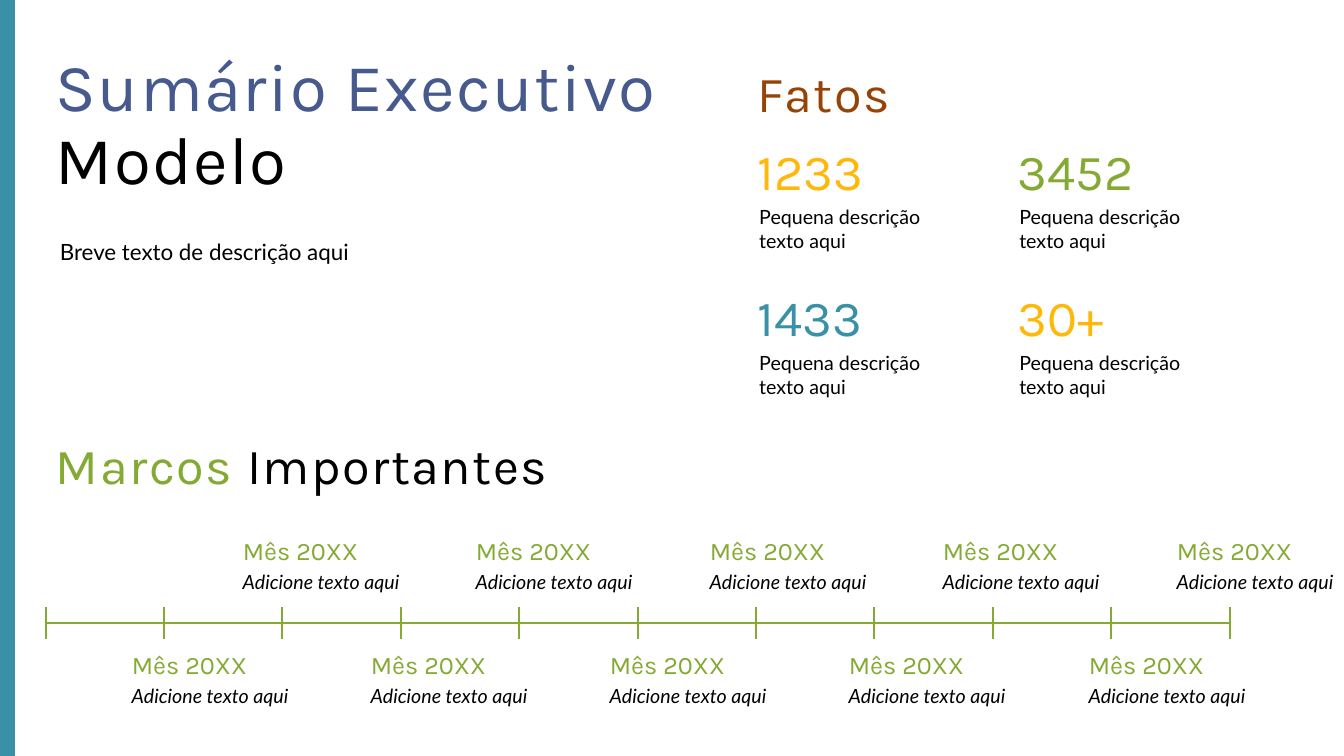
"""Build the executive summary slide with facts and a milestone timeline."""
import pptx
import pptx.dml.color
import pptx.enum.shapes
import pptx.enum.text
import pptx.oxml.ns
import pptx.util
from lxml import etree

BLUE, TEAL, BROWN = "475A8D", "3891A7", "964305"
YELLOW, GREEN, BLACK = "FEB80A", "84AA33", "000000"
PX = 914400 / 100.8


def rgb(value):
    return pptx.dml.color.RGBColor.from_string(value)


def add_text(text, left, top, width, height, size, color=BLACK, font="Lato",
             tail="", italic=False, spacing=None, line_spacing=None, rounded=False):
    box = [round(value * PX) for value in (left, top, width, height)]
    if rounded:
        shape = slide.shapes.add_shape(
            pptx.enum.shapes.MSO_SHAPE.ROUNDED_RECTANGLE, *box)
        shape.adjustments[0] = 0.08
        shape.shadow.inherit = False
        shape.fill.background()
        shape.line.fill.background()
    else:
        shape = slide.shapes.add_textbox(*box)
    frame = shape.text_frame
    frame.word_wrap = True
    frame.vertical_anchor = pptx.enum.text.MSO_ANCHOR.TOP
    for index, line in enumerate(text.split("\n")):
        paragraph = frame.add_paragraph() if index else frame.paragraphs[0]
        paragraph.alignment = pptx.enum.text.PP_ALIGN.LEFT
        paragraph.line_spacing = line_spacing
        for content, run_color in ((line, color), (tail, BLACK)):
            if not content:
                continue
            run = paragraph.add_run()
            run.text = content
            run.font.name = font
            run.font.size = pptx.util.Pt(size)
            run.font.italic = italic
            run.font.color.rgb = rgb(run_color)
            if spacing:
                run.font._element.set("spc", str(spacing))


presentation = pptx.Presentation()
presentation.slide_width = round(1344 * PX)
presentation.slide_height = round(756 * PX)
slide = presentation.slides.add_slide(presentation.slide_layouts[6])

side_bar = slide.shapes.add_shape(
    pptx.enum.shapes.MSO_SHAPE.RECTANGLE, 0, 0, round(15 * PX), round(756 * PX))
side_bar.shadow.inherit = False
side_bar.fill.solid()
side_bar.fill.fore_color.rgb = rgb(TEAL)
side_bar.line.fill.background()

heading = {"font": "Karla", "spacing": 110, "line_spacing": 0.9}
add_text("Sumário Executivo", 46, 49, 706, 155, 48, color=BLUE, tail=" Modelo", **heading)
add_text("Breve texto de descrição aqui", 46, 229, 584, 172, 16, rounded=True)
add_text("Fatos", 748, 64, 538, 65, 36, color=BROWN, **heading)
add_text("Marcos ", 46, 436, 540, 65, 36, color=GREEN, tail="Importantes", **heading)

facts = [("1233", YELLOW), ("3452", GREEN), ("1433", TEAL), ("30+", YELLOW)]
for index, (number, color) in enumerate(facts):
    row, column = divmod(index, 2)
    left, top = 748 + 260 * column, 142 + 146 * row
    add_text(number, left, top, 145, 65, 36, color=color, font="Karla", line_spacing=0.9)
    add_text("Pequena descrição\ntexto aqui", left, top + 57, 277, 60, 14, rounded=True)

timeline = [(46, 623, 1230, 623)]
for index in range(11):
    x = 46 + 1184 * index // 10
    timeline.append((x, 607, x, 639))
for ends in timeline:
    connector = slide.shapes.add_connector(
        pptx.enum.shapes.MSO_CONNECTOR.STRAIGHT, *[round(value * PX) for value in ends])
    connector.line.color.rgb = rgb(GREEN)
    connector.line.width = pptx.util.Pt(1.5)
    etree.SubElement(connector._element.spPr, pptx.oxml.ns.qn("a:effectLst"))

for first, last, top in ((121, 1078, 643), (232, 1166, 529)):
    for index in range(5):
        left = first + (last - first) * index // 4
        add_text("Mês 20XX", left, top, 277, 42, 18, color=GREEN, font="Karla", rounded=True)
        add_text("Adicione texto aqui", left, top + 35, 278, 35, 14, italic=True, rounded=True)

presentation.save("out.pptx")
